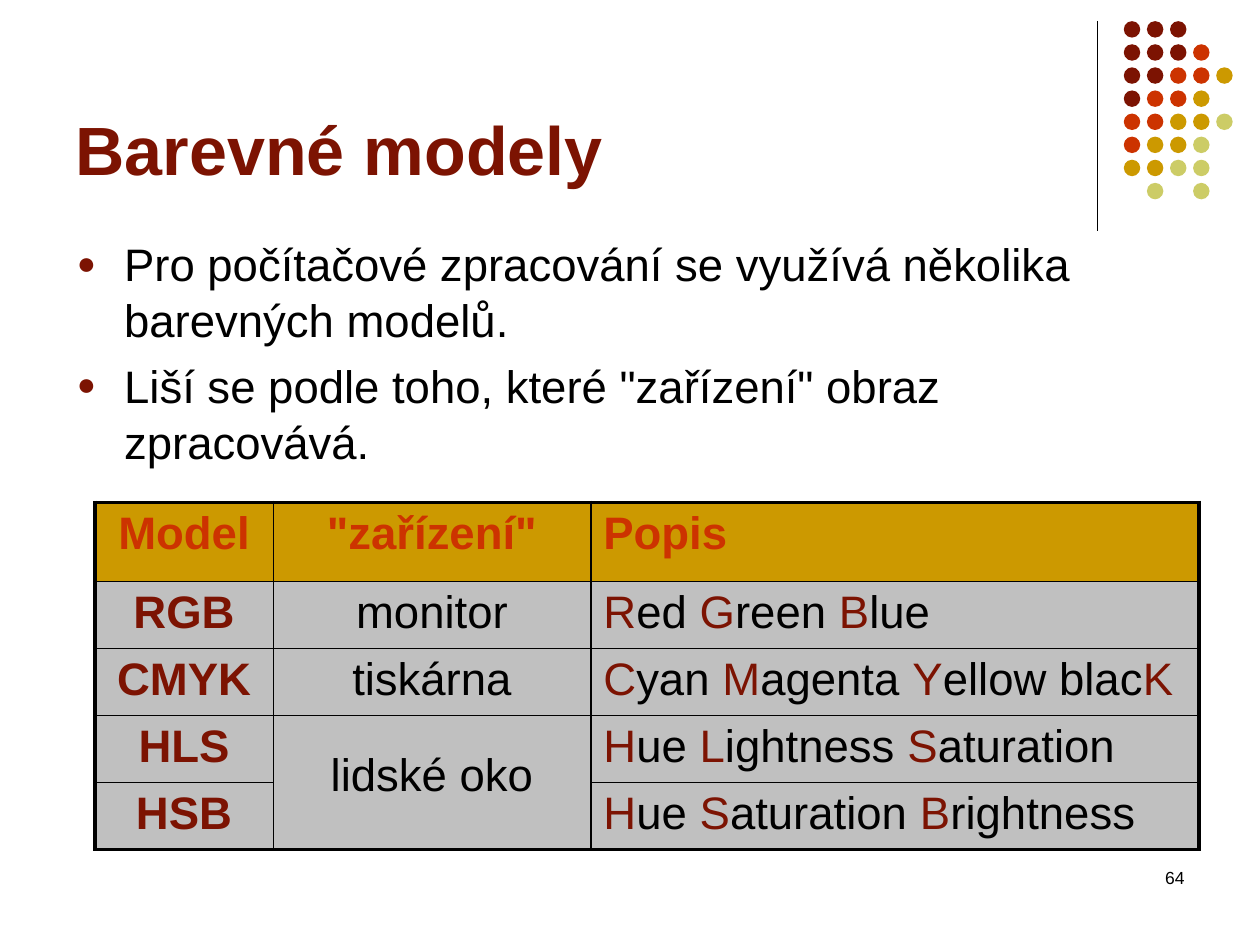
from itertools import groupby

from lxml import etree
from pptx import Presentation
from pptx import util as u
from pptx.dml.color import RGBColor
from pptx.enum import shapes, text
from pptx.oxml import ns

Pt = u.Pt
MAROON = RGBColor(0x7C, 0x13, 0x02)
RED = RGBColor(0xCC, 0x33, 0x00)
GOLD = RGBColor(0xCC, 0x99, 0x00)
LIME = RGBColor(0xCC, 0xCC, 0x66)
GREY = RGBColor(0xC0, 0xC0, 0xC0)
BLACK = RGBColor(0, 0, 0)
CENTER = text.PP_ALIGN.CENTER


def write(para, words, size=26, color=BLACK, bold=False, align=None, capitals=None):
    para.alignment = align
    for is_capital, letters in groupby(words, lambda letter: bool(capitals) and letter.isupper()):
        span = para.add_run()
        span.text = "".join(letters)
        span.font.name = "Arial"
        span.font.size = Pt(size)
        span.font.bold = bold
        span.font.color.rgb = capitals if is_capital else color


def add_xml(parent, tag, **attributes):
    return etree.SubElement(parent, ns.qn(tag), attributes)


deck = Presentation()
deck.slide_width, deck.slide_height = Pt(720), Pt(540)
page = deck.slides.add_slide(deck.slide_layouts[1])

title = page.shapes.title
title.left, title.top, title.width, title.height = Pt(36), Pt(9.4), Pt(594), Pt(102.2)
title.text_frame.vertical_anchor = text.MSO_ANCHOR.BOTTOM
write(title.text_frame.paragraphs[0], "Barevné modely", size=39, color=MAROON, bold=True,
      align=text.PP_ALIGN.LEFT)

body = page.placeholders[1]
body.left, body.top, body.width, body.height = Pt(36.7), Pt(130.4), Pt(648), Pt(138)
points = [
    "Pro počítačové zpracování se využívá několika barevných modelů.",
    'Liší se podle toho, které "zařízení" obraz zpracovává.',
]
for index, point in enumerate(points):
    frame = body.text_frame
    para = frame.add_paragraph() if index else frame.paragraphs[0]
    properties = para._p.get_or_add_pPr()
    properties.set("marL", str(Pt(27)))
    properties.set("indent", str(-Pt(27)))
    para.line_spacing = 1.03
    para.space_before = Pt(5.2 if index else 0)
    add_xml(add_xml(properties, "a:buClr"), "a:srgbClr", val=str(MAROON))
    add_xml(properties, "a:buSzPct", val="70000")
    add_xml(properties, "a:buFont", typeface="Arial")
    add_xml(properties, "a:buChar", char="●")
    write(para, point)

rule = page.shapes.add_connector(shapes.MSO_CONNECTOR.STRAIGHT, Pt(627.1), Pt(12), Pt(627.1), Pt(132))
rule.line.color.rgb = BLACK
rule.line.width = Pt(0.75)
add_xml(rule._element.spPr, "a:effectLst")

dot_colors = {"M": MAROON, "R": RED, "G": GOLD, "L": LIME}
dot_rows = ["MMM", "MMMR", "MMRRG", "MRRG", "RRGGL", "RGGL", "GGLL", " L L"]
dots = page.shapes.add_group_shape()
for row, letters in enumerate(dot_rows):
    for column, letter in enumerate(letters):
        if letter in dot_colors:
            dot = dots.shapes.add_shape(shapes.MSO_SHAPE.OVAL, Pt(642.2 + 13.2 * column),
                                        Pt(12.1 + 13.2 * row), Pt(9.4), Pt(9.4))
            dot.shadow.inherit = False
            dot.fill.solid()
            dot.fill.fore_color.rgb = dot_colors[letter]
            dot.line.fill.background()

models = [
    ("Model", '"zařízení"', "Popis"),
    ("RGB", "monitor", "Red Green Blue"),
    ("CMYK", "tiskárna", "Cyan Magenta Yellow blacK"),
    ("HLS", "lidské oko", "Hue Lightness Saturation"),
    ("HSB", "", "Hue Saturation Brightness"),
]
widths = [102, 181.4, 347.6]
heights = [45.2] + [38.3] * 4
table = page.shapes.add_table(len(heights), len(widths), Pt(54.2), Pt(287),
                              Pt(sum(widths)), Pt(sum(heights))).table
for column, width in zip(table.columns, widths):
    column.width = Pt(width)
for line, height in zip(table.rows, heights):
    line.height = Pt(height)
table.cell(3, 1).merge(table.cell(4, 1))

for row, model in enumerate(models):
    for column, words in enumerate(model):
        cell = table.cell(row, column)
        if cell.is_spanned:
            continue
        cell.margin_left = cell.margin_right = Pt(7.2)
        cell.margin_top = Pt(20 if cell.is_merge_origin else 3.6)
        cell.margin_bottom = Pt(3.6)
        outer_edges = {
            "a:lnL": column == 0,
            "a:lnR": column == len(widths) - 1,
            "a:lnT": row == 0,
            "a:lnB": row + cell.span_height == len(heights),
        }
        for edge, is_outer in outer_edges.items():
            border = add_xml(cell._tc.get_or_add_tcPr(), edge, w=str(Pt(2.25 if is_outer else 1)))
            add_xml(add_xml(border, "a:solidFill"), "a:srgbClr", val=str(BLACK))
        cell.fill.solid()
        cell.fill.fore_color.rgb = GREY if row else GOLD
        color = RED if row == 0 else MAROON if column == 0 else BLACK
        write(cell.text_frame.paragraphs[0], words, color=color, bold=row == 0 or column == 0,
              align=CENTER if column < 2 else None,
              capitals=MAROON if row and column == 2 else None)

number = page.shapes.add_textbox(Pt(516.2), Pt(491.8), Pt(167.8), Pt(36))
number.text_frame.word_wrap = True
write(number.text_frame.paragraphs[0], "64", size=10, align=text.PP_ALIGN.RIGHT)

deck.save("out.pptx")
